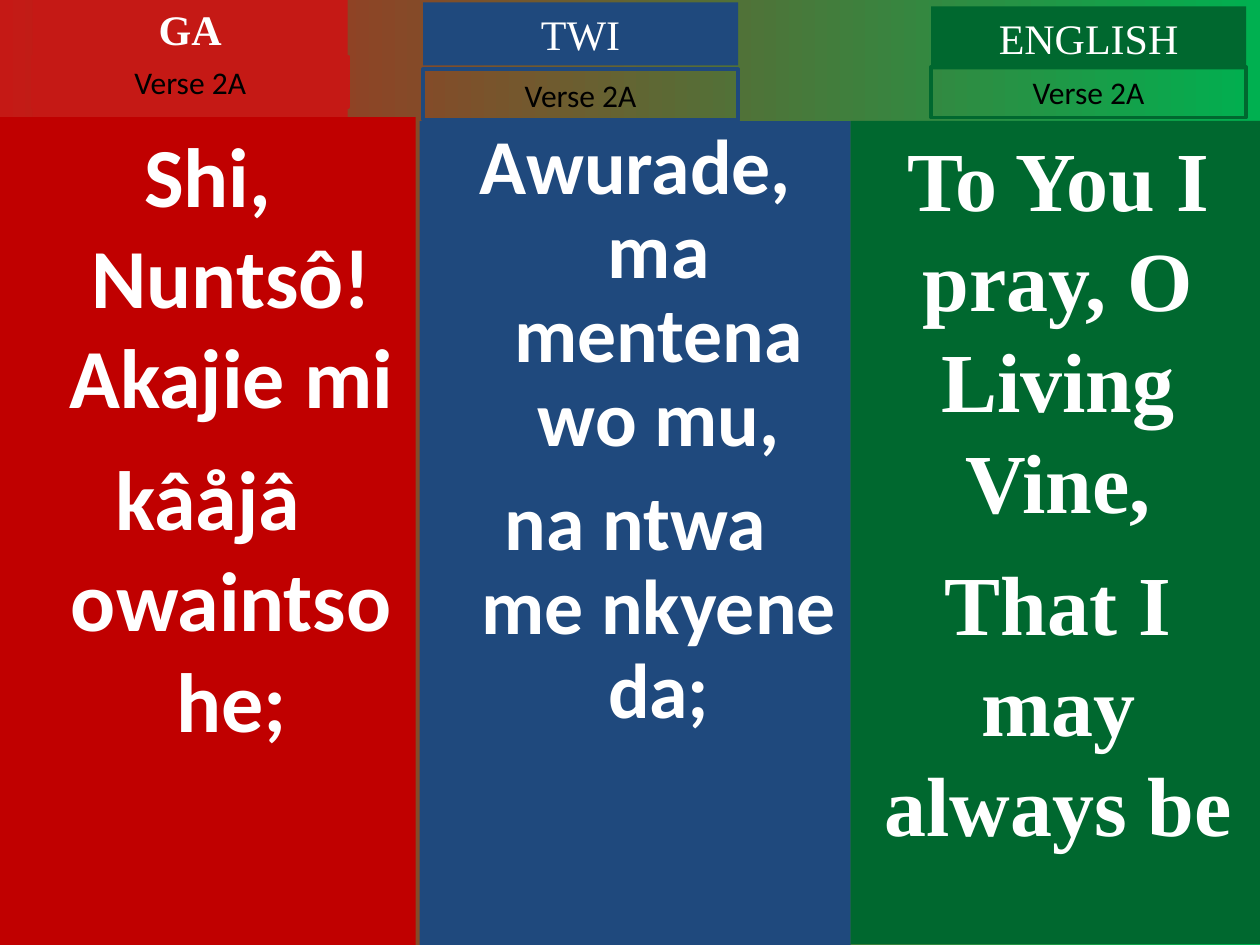
import pptx
import pptx.dml.color
import pptx.enum.shapes
import pptx.enum.text
import pptx.oxml
import pptx.oxml.ns
import pptx.util

Cm, Pt = pptx.util.Cm, pptx.util.Pt
RGBColor = pptx.dml.color.RGBColor
AutoSize = pptx.enum.text.MSO_AUTO_SIZE

WHITE = RGBColor(0xFF, 0xFF, 0xFF)
BLACK = RGBColor(0x00, 0x00, 0x00)
SCARLET = RGBColor(0xC5, 0x19, 0x15)
RED = RGBColor(0xC0, 0x00, 0x00)
BLUE = RGBColor(0x1F, 0x49, 0x7D)
GREEN = RGBColor(0x00, 0x68, 0x2F)
BRIGHT_GREEN = RGBColor(0x00, 0xB0, 0x50)

SANS, SERIF = "Calibri", "Times New Roman"
LABEL_WIDTH = 6.35
HANGING = Cm(0.95)


class LyricSlide:
    def __init__(self, deck):
        self.slide = deck.slides.add_slide(deck.slide_layouts.get_by_name("Two Content"))
        self.title, self.first_body, self.second_body = self.slide.placeholders

    def background(self, *colours):
        fill = self.slide.background.fill
        fill.gradient()
        fill.gradient_angle = 0
        for stop, colour in zip(fill.gradient_stops, colours):
            stop.color.rgb = colour

    def place(self, box, holder=None):
        """Move a placeholder to the box, or draw a plain rectangle there."""
        lengths = [Cm(value) for value in box]
        if holder is None:
            rectangle = pptx.enum.shapes.MSO_SHAPE.RECTANGLE
            holder = self.slide.shapes.add_shape(rectangle, *lengths)
            holder.shadow.inherit = False
        else:
            holder.left, holder.top, holder.width, holder.height = lengths
        holder.line.fill.background()
        return holder

    def add_text(self, shape, paragraphs, size, font, colour, bold=False,
                 hanging=False, spacing=1.0, fit=AutoSize.NONE):
        frame = shape.text_frame
        frame.word_wrap = True
        frame.auto_size = fit
        frame.vertical_anchor = pptx.enum.text.MSO_ANCHOR.TOP
        for index, lines in enumerate(paragraphs):
            paragraph = frame.paragraphs[0] if index == 0 else frame.add_paragraph()
            properties = paragraph._p.get_or_add_pPr()
            properties.set("marL", str(HANGING if hanging else 0))
            properties.set("indent", str(-HANGING if hanging else 0))
            properties.append(pptx.oxml.parse_xml(
                "<a:buNone %s/>" % pptx.oxml.ns.nsdecls("a")))
            paragraph.alignment = pptx.enum.text.PP_ALIGN.CENTER
            paragraph.line_spacing = spacing
            paragraph.space_before = Pt(12 if index else 0)
            for number, line in enumerate(lines):
                if number:
                    paragraph.add_line_break()
                run = paragraph.add_run()
                run.text = line
                run.font.size = Pt(size)
                run.font.name = font
                run.font.bold = bold
                run.font.color.rgb = colour

    def lyrics(self, box, colour, paragraphs, holder=None, **style):
        panel = self.place(box, holder)
        panel.fill.solid()
        panel.fill.fore_color.rgb = colour
        self.add_text(panel, paragraphs, colour=WHITE, bold=True, **style)

    def language(self, left, top, name, colour, holder=None, bold=False):
        heading = self.place((left, top, LABEL_WIDTH, 1.27), holder)
        heading.fill.solid()
        heading.fill.fore_color.rgb = colour
        self.add_text(heading, [[name]], 24, SERIF, WHITE, bold,
                      fit=AutoSize.SHAPE_TO_FIT_TEXT)

    def verse(self, left, top, name, colour):
        label = self.place((left, top, LABEL_WIDTH, 1.02))
        label.fill.background()
        label.line.color.rgb = colour
        label.line.width = Pt(2.25)
        self.add_text(label, [[name]], 18, SANS, BLACK,
                      fit=AutoSize.SHAPE_TO_FIT_TEXT)


def main():
    deck = pptx.Presentation()
    deck.slide_width, deck.slide_height = Cm(25.4), Cm(19.05)
    song = LyricSlide(deck)
    song.background(SCARLET, BRIGHT_GREEN)

    song.lyrics((0, 2.36, 8.38, 16.69), RED,
                [["Shi, Nuntsô! Akajie mi"], ["kâåjâ owaintso he;"]],
                song.first_body, size=48, font=SANS, hanging=True)
    song.lyrics((8.46, 2.44, 8.69, 16.61), BLUE,
                [["Awurade, ma mentena wo mu,"], ["na ntwa", "me nkyene da;"]],
                song.second_body, size=44.4, font=SANS, hanging=True, spacing=0.9)
    song.lyrics((17.15, 2.44, 8.36, 16.59), GREEN,
                [["To You I pray, O Living Vine,"], ["That I may always be"]],
                size=48, font=SERIF)

    song.language(0.66, -0.05, "GA", SCARLET, song.title, bold=True)
    song.language(8.53, 0.05, "TWI", BLUE)
    song.language(18.77, 0.13, "ENGLISH", GREEN)
    for left, top, colour in ((0.66, 1.14, SCARLET), (8.53, 1.4, BLUE),
                              (18.77, 1.35, GREEN)):
        song.verse(left, top, "Verse 2A", colour)

    deck.save("out.pptx")


if __name__ == "__main__":
    main()
